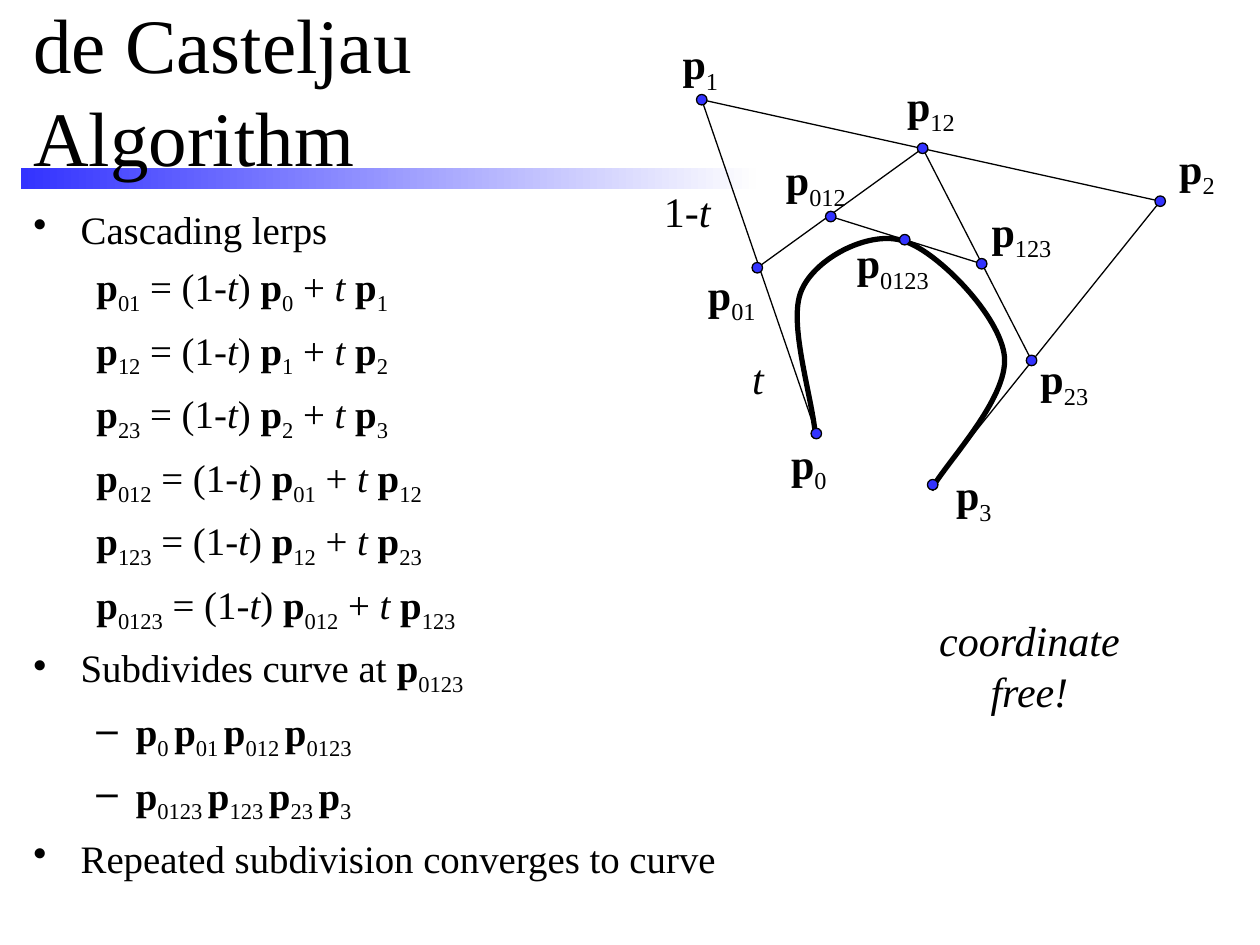
from lxml import etree
from pptx import Presentation
from pptx import util as u
from pptx.dml import color
from pptx.enum import shapes, text
from pptx.oxml import ns

Pt = u.Pt
HUES = {"ink": "000000", "blue": "3333FF", "pale": "FEFEFE"}
HUE = {k: color.RGBColor.from_string(v) for k, v in HUES.items()}
STYLE = {"*": {"bold": True}, "~": {"italic": True}, "_": {}}
INSET = {"margin_left": Pt(7.2), "margin_right": Pt(7.2),
         "margin_top": Pt(3.6), "margin_bottom": Pt(3.6)}

deck = Presentation()
deck.slide_width, deck.slide_height = Pt(720), Pt(540)
slide = deck.slides.add_slide(deck.slide_layouts[6])
parts = slide.shapes


def write(para, line, size):
    for bit in line.split("|"):
        mark = bit[0] if bit[0] in STYLE else ""
        run = para.add_run()
        run.text = bit[len(mark):]
        font = run.font
        form = {"name": "Times New Roman", "size": Pt(size), **STYLE.get(mark, {})}
        for key, val in form.items():
            setattr(font, key, val)
        font.color.rgb = HUE["ink"]
        if mark == "_":
            run._r.get_or_add_rPr().set("baseline", "-25000")


def add_box(x, y, w, h, form):
    frame = parts.add_textbox(Pt(x), Pt(y), Pt(w), Pt(h)).text_frame
    for key, val in {**INSET, **form}.items():
        setattr(frame, key, val)
    return frame


bar = parts.add_shape(shapes.MSO_SHAPE.RECTANGLE, Pt(12), Pt(96), Pt(420), Pt(12))
bar.shadow.inherit = False
bar.line.fill.background()
bar.fill.gradient()
bar.fill.gradient_angle = 0
for stop, hue in zip(bar.fill.gradient_stops, ("blue", "pale")):
    stop.color.rgb = HUE[hue]

title = add_box(12, 12, 420, 78, {"word_wrap": True,
                                  "vertical_anchor": text.MSO_ANCHOR.MIDDLE})
write(title.paragraphs[0], "de Casteljau Algorithm", 44)

rows = [("•", "Cascading lerps")]
for out, a, b in (("01", "0", "1"), ("12", "1", "2"), ("23", "2", "3"),
                  ("012", "01", "12"), ("123", "12", "23"), ("0123", "012", "123")):
    rows.append(("", f"*p|_{out}| = (1-|~t|) |*p|_{a}| + |~t |*p|_{b}"))
rows.append(("•", "Subdivides curve at |*p|_0123"))
for half in (("0", "01", "012", "0123"), ("0123", "123", "23", "3")):
    rows.append(("–", " |".join(f"*p|_{n}" for n in half)))
rows.append(("•", "Repeated subdivision converges to curve"))

body = add_box(12, 114, 420, 414, {"word_wrap": True})
for i, (sign, line) in enumerate(rows):
    para = body.add_paragraph() if i else body.paragraphs[0]
    para.space_before = Pt(6 if i else 0)
    left, hang = (27, -27) if sign == "•" else (58.5, -22.5)
    props = para._p.get_or_add_pPr()
    props.set("marL", str(Pt(left)))
    props.set("indent", str(Pt(hang)))
    if sign:
        etree.SubElement(props, ns.qn("a:buChar")).set("char", sign)
    else:
        etree.SubElement(props, ns.qn("a:buNone"))
    if sign != "•":
        para.level = 1
    write(para, line, 22.2)

NODES = {
    "0": (466.5, 247.75, 445, 246.25), "1": (401, 57, 383, 18),
    "2": (663, 115, 666.75, 77.75), "3": (533, 277, 539.25, 264.25),
    "01": (432.75, 153, 397.5, 149.75), "12": (527.25, 84.75, 511.25, 41.75),
    "23": (589.5, 206, 587.5, 198), "012": (474.75, 123.75, 442, 84.25),
    "123": (561, 150.75, 559.5, 113.75), "0123": (517, 137, 482.5, 131.75),
}
for a, b in (("12", "23"), ("012", "123"), ("3", "2"), ("2", "1"), ("0", "1"), ("01", "12")):
    ends = [Pt(v) for v in NODES[a][:2] + NODES[b][:2]]
    edge = parts.add_connector(shapes.MSO_CONNECTOR.STRAIGHT, *ends)
    edge.line.width = Pt(0.75)
    edge.line.color.rgb = HUE["ink"]
    etree.SubElement(edge._element.spPr, ns.qn("a:effectLst"))

bend = [(466.5, 249), (463.5, 226), (450, 184.25), (458.25, 165.5),
        (466.5, 146.75), (497.5, 131.25), (516.75, 137.5),
        (536, 144), (571.5, 180.75), (574, 204.5), (576.5, 228), (541, 263.5), (531.5, 279.5)]
pen = parts.build_freeform(*bend[0], scale=Pt(1))
pen.add_line_segments(bend[1:], close=False)
curve = pen.convert_to_shape()
curve.shadow.inherit = False
curve.fill.background()
curve.line.width = Pt(3)
curve.line.color.rgb = HUE["ink"]
trace = curve._element.find(".//" + ns.qn("a:path"))
legs = trace.findall(ns.qn("a:lnTo"))
for i in range(0, len(legs), 3):
    arc = etree.SubElement(trace, ns.qn("a:cubicBezTo"))
    for leg in legs[i:i + 3]:
        arc.append(leg[0])
        trace.remove(leg)

LABEL = {"word_wrap": False, "auto_size": text.MSO_AUTO_SIZE.SHAPE_TO_FIT_TEXT}
for name, (x, y, left, top) in NODES.items():
    dot = parts.add_shape(shapes.MSO_SHAPE.OVAL, Pt(x - 3), Pt(y - 3), Pt(6), Pt(6))
    dot.shadow.inherit = False
    dot.fill.solid()
    dot.fill.fore_color.rgb = HUE["blue"]
    dot.line.width = Pt(0.75)
    dot.line.color.rgb = HUE["ink"]
    tag = add_box(left, top, 27.75 + 6.9 * len(name), 40.25, LABEL)
    write(tag.paragraphs[0], f"*p|_{name}", 24)

for x, y, w, line in ((422.75, 198, 21, "~t"), (372.25, 102.25, 41, "1-|~t")):
    write(add_box(x, y, w, 36, LABEL).paragraphs[0], line, 24)

note = add_box(529.25, 347.75, 118, 64.75, LABEL).paragraphs[0]
note.alignment = text.PP_ALIGN.CENTER
write(note, "~coordinate", 24)
note.add_line_break()
write(note, "~free!", 24)

deck.save("out.pptx")
